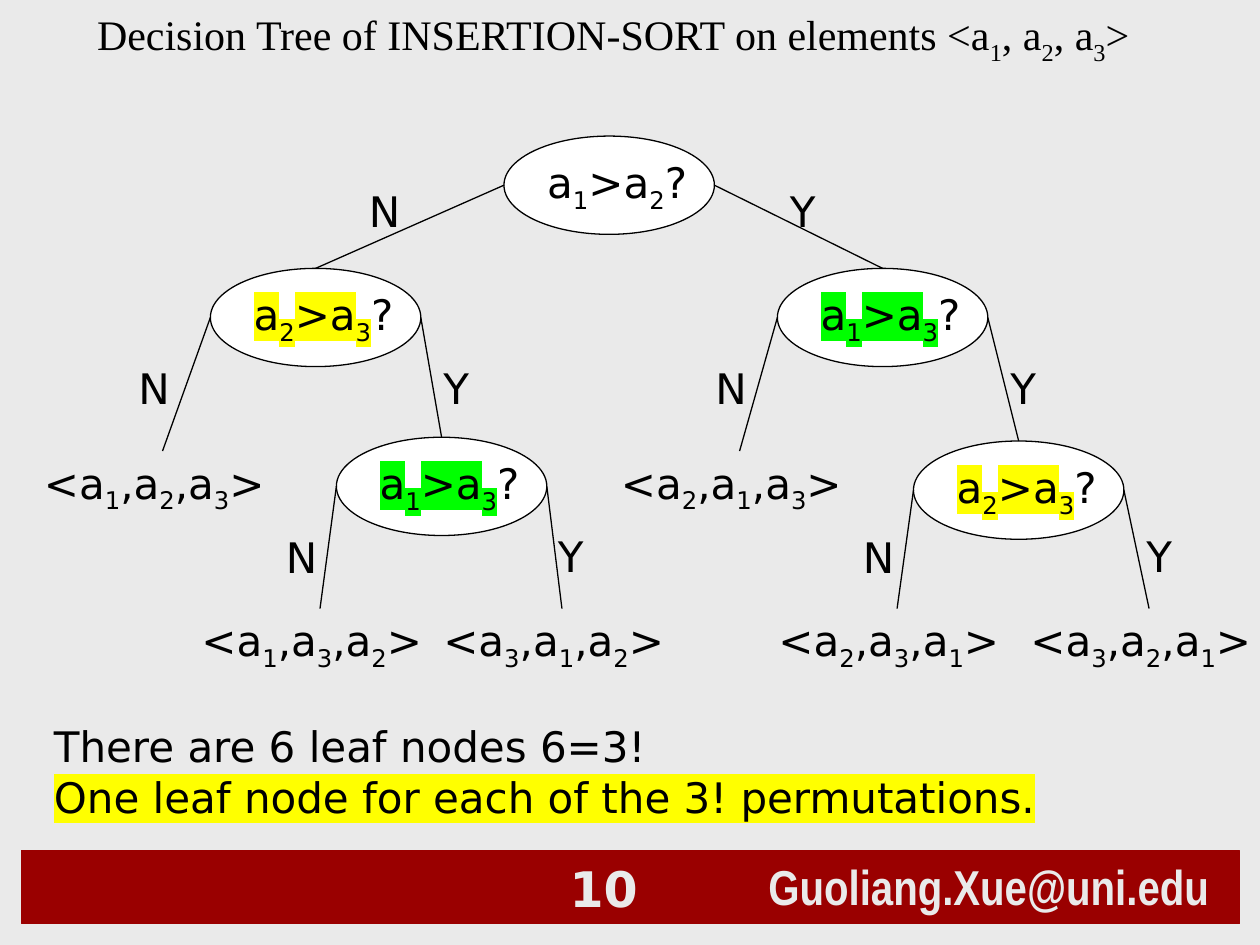
from dataclasses import dataclass
from itertools import groupby

from lxml.etree import SubElement
from pptx import Presentation
from pptx.dml.color import RGBColor
from pptx.enum.shapes import MSO_CONNECTOR, MSO_SHAPE
from pptx.enum.text import MSO_ANCHOR, MSO_AUTO_SIZE, PP_ALIGN
from pptx.oxml.ns import qn
from pptx.util import Inches, Pt


@dataclass(frozen=True)
class Theme:
    """Colours, fonts and type sizes of the slide."""
    background: str = "EAEAEA"
    band: str = "9A0000"
    ink: str = "000000"
    node: str = "FFFFFF"
    yellow: str = "FFFF00"
    green: str = "00FF00"
    body_font: str = "DejaVu Sans"
    title_font: str = "Times New Roman"
    footer_font: str = "Arial Narrow"
    body_size: int = 24
    footer_size: int = 28
    line_width: float = 0.75


THEME = Theme()
BODY = {"name": THEME.body_font, "size": Pt(THEME.body_size), "color": THEME.ink}
TITLE = {**BODY, "name": THEME.title_font}
NUMBER = {"name": THEME.body_font, "size": Pt(THEME.footer_size),
          "color": THEME.background, "bold": True}
ADDRESS = {**NUMBER, "name": THEME.footer_font}

TITLE_TEXT = "Decision Tree of INSERTION-SORT on elements <a1, a2, a3>"
TITLE_BOX = (0.67, 0.02, 8.5, 0.5)
NOTES_BOX = (0.33, 5.67, 9.5, 0.91)
NOTES = [("There are 6 leaf nodes 6=3!", None),
         ("One leaf node for each of the 3! permutations.", THEME.yellow)]
BAND_BOX = (0.17, 6.75, 9.67, 0.58)
ADDRESS_BOX = (6, 6.75, 3.83, 0.57)
NUMBER_BOX = (4.08, 6.75, 1.08, 0.58)

NODE_SIZE = (1.67, 0.78)
LEAF_SIZE = (2.08, 0.5)
LABEL_SIZE = (0.67, 0.5)

# name: (left, top, question, highlight)
NODES = {
    "root": (4, 1.08, "a1>a2?", None),
    "left": (1.67, 2.13, "a2>a3?", THEME.yellow),
    "right": (6.17, 2.13, "a1>a3?", THEME.green),
    "left inner": (2.67, 3.47, "a1>a3?", THEME.green),
    "right inner": (7.25, 3.5, "a2>a3?", THEME.yellow),
}
# permutation: (left, top)
LEAVES = {
    "<a1,a2,a3>": (0.25, 3.58),
    "<a2,a1,a3>": (4.83, 3.58),
    "<a1,a3,a2>": (1.5, 4.83),
    "<a3,a1,a2>": (3.42, 4.83),
    "<a2,a3,a1>": (6.08, 4.83),
    "<a3,a2,a1>": (8.08, 4.83),
}
# parent, answer, child, label left, label top
BRANCHES = [
    ("root", "N", "left", 2.83, 1.42),
    ("root", "Y", "right", 6.17, 1.42),
    ("left", "N", "<a1,a2,a3>", 1, 2.83),
    ("left", "Y", "left inner", 3.42, 2.83),
    ("right", "N", "<a2,a1,a3>", 5.58, 2.83),
    ("right", "Y", "right inner", 7.92, 2.83),
    ("left inner", "N", "<a1,a3,a2>", 2.17, 4.17),
    ("left inner", "Y", "<a3,a1,a2>", 4.33, 4.16),
    ("right inner", "N", "<a2,a3,a1>", 6.75, 4.17),
    ("right inner", "Y", "<a3,a2,a1>", 9, 4.16),
]


def inches(values):
    """Turn plain numbers into lengths."""
    return [Inches(value) for value in values]


def add_run(paragraph, text, style, highlight=None, subscript=False):
    """Add one formatted run to a paragraph."""
    run = paragraph.add_run()
    run.text = text
    for name, value in style.items():
        if name == "color":
            run.font.color.rgb = RGBColor.from_string(value)
        else:
            setattr(run.font, name, value)
    properties = run.font._element
    if subscript:
        properties.set("baseline", "-25000")
    if highlight:
        mark = SubElement(properties, qn("a:highlight"))
        SubElement(mark, qn("a:srgbClr")).set("val", highlight)
        properties.find(qn("a:solidFill")).addnext(mark)


def add_formula(paragraph, text, style, highlight=None):
    """Write a formula whose digits are subscripts; a final ? is never marked."""
    for is_digit, characters in groupby(text, str.isdigit):
        part = "".join(characters)
        add_run(paragraph, part, style, None if part == "?" else highlight, is_digit)


def format_frame(frame, **settings):
    """Apply text frame settings over the common ones."""
    defaults = {"word_wrap": True, "vertical_anchor": MSO_ANCHOR.TOP}
    for name, value in {**defaults, **settings}.items():
        setattr(frame, name, value)
    return frame.paragraphs[0]


def add_text_box(shapes, box):
    """Add a growing text box and return its text frame."""
    frame = shapes.add_textbox(*inches(box)).text_frame
    format_frame(frame, auto_size=MSO_AUTO_SIZE.SHAPE_TO_FIT_TEXT)
    return frame


def add_filled_shape(shapes, kind, box, fill, line):
    """Add a preset shape with a flat fill and a thin outline."""
    shape = shapes.add_shape(kind, *inches(box))
    shape.shadow.inherit = False
    shape.fill.solid()
    shape.fill.fore_color.rgb = RGBColor.from_string(fill)
    shape.line.color.rgb = RGBColor.from_string(line)
    shape.line.width = Pt(THEME.line_width)
    return shape


def add_footer(shapes):
    """Draw the band with the page number and the address."""
    add_filled_shape(shapes, MSO_SHAPE.RECTANGLE, BAND_BOX, THEME.band, THEME.band)
    for box, text, style, alignment, anchor in (
            (ADDRESS_BOX, "Guoliang.Xue@uni.edu", ADDRESS, PP_ALIGN.LEFT, MSO_ANCHOR.TOP),
            (NUMBER_BOX, "10", NUMBER, PP_ALIGN.RIGHT, MSO_ANCHOR.BOTTOM)):
        shape = add_filled_shape(shapes, MSO_SHAPE.RECTANGLE, box, THEME.band, THEME.band)
        paragraph = format_frame(shape.text_frame, vertical_anchor=anchor)
        paragraph.alignment = alignment
        add_run(paragraph, text, style)


def add_title(title):
    """Place and fill the title placeholder."""
    title.left, title.top, title.width, title.height = inches(TITLE_BOX)
    paragraph = format_frame(title.text_frame, auto_size=MSO_AUTO_SIZE.SHAPE_TO_FIT_TEXT)
    paragraph.alignment = PP_ALIGN.LEFT
    add_formula(paragraph, TITLE_TEXT, TITLE)


def add_node(shapes, left, top, question, highlight):
    """Draw one comparison of the tree."""
    shape = add_filled_shape(shapes, MSO_SHAPE.OVAL, (left, top, *NODE_SIZE),
                             THEME.node, THEME.ink)
    paragraph = format_frame(shape.text_frame, word_wrap=False)
    paragraph.alignment = PP_ALIGN.LEFT
    add_formula(paragraph, question, BODY, highlight)


def add_branch(shapes, parent, answer, child, label_left, label_top):
    """Join the side of a node to the top centre of its child, with a label."""
    left, top = NODES[parent][:2]
    child_left, child_top = (NODES.get(child) or LEAVES[child])[:2]
    child_width = (NODE_SIZE if child in NODES else LEAF_SIZE)[0]
    start = (left + (NODE_SIZE[0] if answer == "Y" else 0), top + NODE_SIZE[1] / 2)
    end = (child_left + child_width / 2, child_top)
    group = shapes.add_group_shape()
    connector = group.shapes.add_connector(MSO_CONNECTOR.STRAIGHT, *inches(start + end))
    connector.line.color.rgb = RGBColor.from_string(THEME.ink)
    connector.line.width = Pt(THEME.line_width)
    SubElement(connector._element.spPr, qn("a:effectLst"))
    label = add_text_box(group.shapes, (label_left, label_top, *LABEL_SIZE))
    add_run(label.paragraphs[0], answer, BODY)


def add_notes(shapes):
    """Write the conclusions under the tree."""
    frame = add_text_box(shapes, NOTES_BOX)
    for index, (text, highlight) in enumerate(NOTES):
        paragraph = frame.add_paragraph() if index else frame.paragraphs[0]
        add_run(paragraph, text, BODY, highlight)


def main():
    """Build and save the slide."""
    presentation = Presentation()
    presentation.slide_width, presentation.slide_height = inches((10, 7.5))
    slide = presentation.slides.add_slide(presentation.slide_layouts.get_by_name("Title Only"))
    slide.background.fill.solid()
    slide.background.fill.fore_color.rgb = RGBColor.from_string(THEME.background)
    shapes = slide.shapes
    add_title(shapes.title)
    add_footer(shapes)
    for node in NODES.values():
        add_node(shapes, *node)
    for branch in BRANCHES:
        add_branch(shapes, *branch)
    for permutation, position in LEAVES.items():
        frame = add_text_box(shapes, (*position, *LEAF_SIZE))
        add_formula(frame.paragraphs[0], permutation, BODY)
    add_notes(shapes)
    presentation.save("out.pptx")


main()
